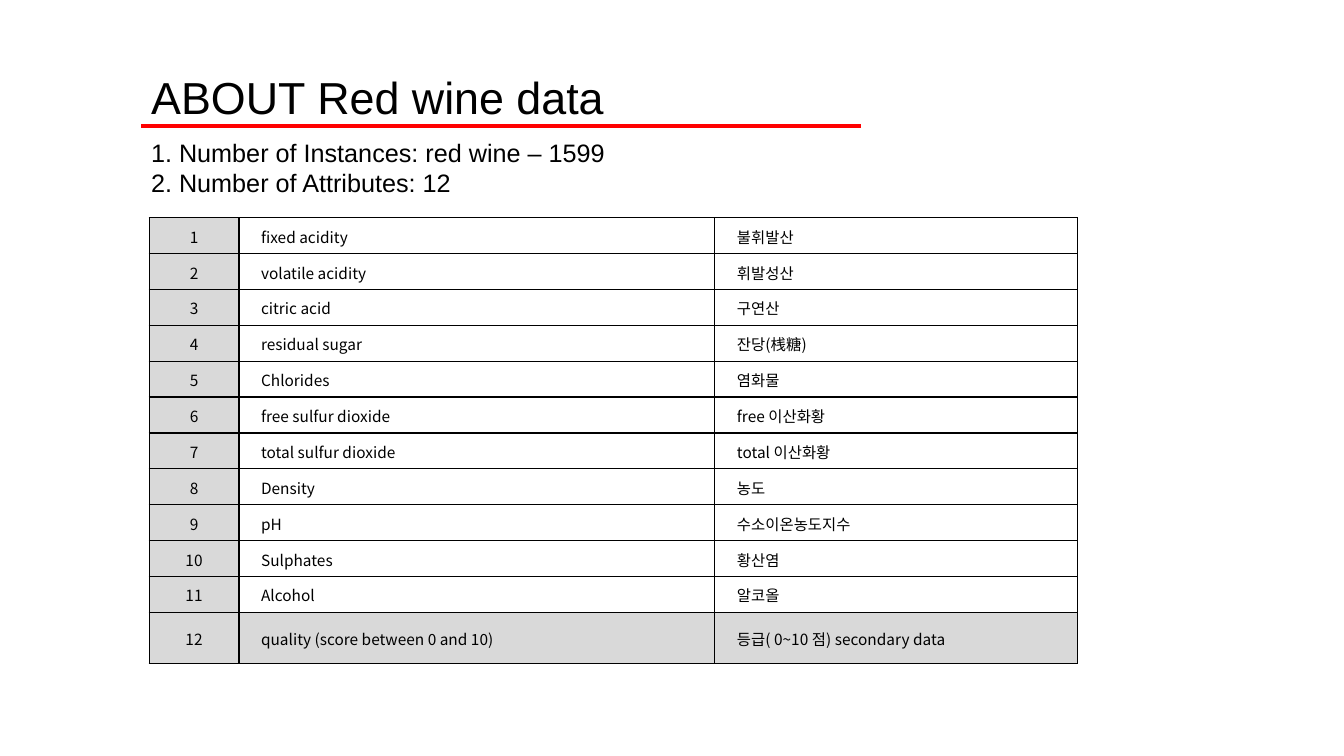
from pptx import Presentation
from pptx.dml.color import RGBColor
from pptx.enum.shapes import MSO_CONNECTOR
from pptx.enum.text import MSO_ANCHOR, PP_ALIGN
from pptx.oxml import parse_xml
from pptx.oxml.ns import nsdecls
from pptx.util import Inches, Pt

NS = nsdecls("a")


def paint(target, color):
    """Set a fill, line fill or font colour from a hex string."""
    if hasattr(target, "solid"):
        target.solid()
        target = target.fore_color
    target.rgb = RGBColor.from_string(color)


def write(frame, text, size=18, font="Arial", align=PP_ALIGN.LEFT,
          spacing=1.0, indent=0, numbered=False):
    """Fill a text frame, one paragraph for each line of text."""
    frame.word_wrap = True
    frame.text = text
    for par in frame.paragraphs:
        par.alignment = align
        par.line_spacing = spacing
        par.space_before = Pt(0)
        props = par._p.get_or_add_pPr()
        props.set("marL", "0")
        props.set("indent", str(Inches(indent)))
        if numbered:
            props.append(parse_xml(f'<a:buFont {NS} typeface="+mj-lt"/>'))
            props.append(parse_xml(f'<a:buAutoNum {NS} type="arabicPeriod"/>'))
        for run in par.runs:
            run.font.size = Pt(size)
            run.font.name = font
            paint(run.font.color, "000000")
            run.font._element.append(parse_xml(f'<a:ea {NS} typeface="{font}"/>'))


deck = Presentation()
deck.slide_width, deck.slide_height = Inches(13.33), Inches(7.5)
slide = deck.slides.add_slide(deck.slide_layouts[5])
shapes = slide.shapes

# Title and red rule
title = shapes.title
title.left, title.top = Inches(1.4), Inches(0.67)
title.width, title.height = Inches(8.77), Inches(0.75)
title.text_frame.vertical_anchor = MSO_ANCHOR.TOP
write(title.text_frame, "ABOUT Red wine data", size=32, spacing=Pt(36))

rule = shapes.add_connector(MSO_CONNECTOR.STRAIGHT, Inches(1.4), Inches(1.25),
                            Inches(8.54), Inches(1.25))
paint(rule.line.fill, "FF0000")
rule.line.width = Pt(2.5)
rule._element.spPr.append(parse_xml(f"<a:effectLst {NS}/>"))

# Numbered facts
facts = shapes.add_textbox(Inches(1.4), Inches(1.31), Inches(7.73), Inches(0.71))
write(facts.text_frame,
      " Number of Instances: red wine – 1599\n Number of Attributes: 12",
      numbered=True)

# Attribute table
attributes = [
    ("fixed acidity", "불휘발산"),
    ("volatile acidity", "휘발성산"),
    ("citric acid", "구연산"),
    ("residual sugar", "잔당(桟糖)"),
    ("Chlorides", "염화물"),
    ("free sulfur dioxide", "free 이산화황"),
    ("total sulfur dioxide", "total 이산화황"),
    ("Density", "농도"),
    ("pH", "수소이온농도지수"),
    ("Sulphates", "황산염"),
    ("Alcohol", "알코올"),
    ("quality (score between 0 and 10)", "등급( 0~10 점) secondary data"),
]
last = len(attributes) - 1
table = shapes.add_table(len(attributes), 3, Inches(1.48), Inches(2.16),
                         Inches(9.22), Inches(4.44)).table
table.first_row = table.horz_banding = False
for column, width in zip(table.columns, (0.89, 4.72, 3.6)):
    column.width = Inches(width)

for r, names in enumerate(attributes):
    table.rows[r].height = Inches(0.51 if r == last else 0.356)
    for c, text in enumerate((str(r + 1), *names)):
        cell = table.cell(r, c)
        cell.vertical_anchor = MSO_ANCHOR.MIDDLE
        cell.margin_left = cell.margin_right = Inches(0.07)
        cell.margin_top = cell.margin_bottom = 0
        write(cell.text_frame, text, size=11, font="Noto Sans CJK KR", spacing=1.07,
              align=PP_ALIGN.LEFT if c else PP_ALIGN.CENTER, indent=0.15 if c else 0)
        if c == 0 or r == last:
            paint(cell.fill, "D9D9D9")
        else:
            cell.fill.background()
        props = cell._tc.get_or_add_tcPr()
        for i, side in enumerate("LRTB"):
            props.insert(i, parse_xml(
                f'<a:ln{side} {NS} w="{Pt(1)}"><a:solidFill>'
                f'<a:srgbClr val="000000"/></a:solidFill></a:ln{side}>'))

deck.save("out.pptx")
